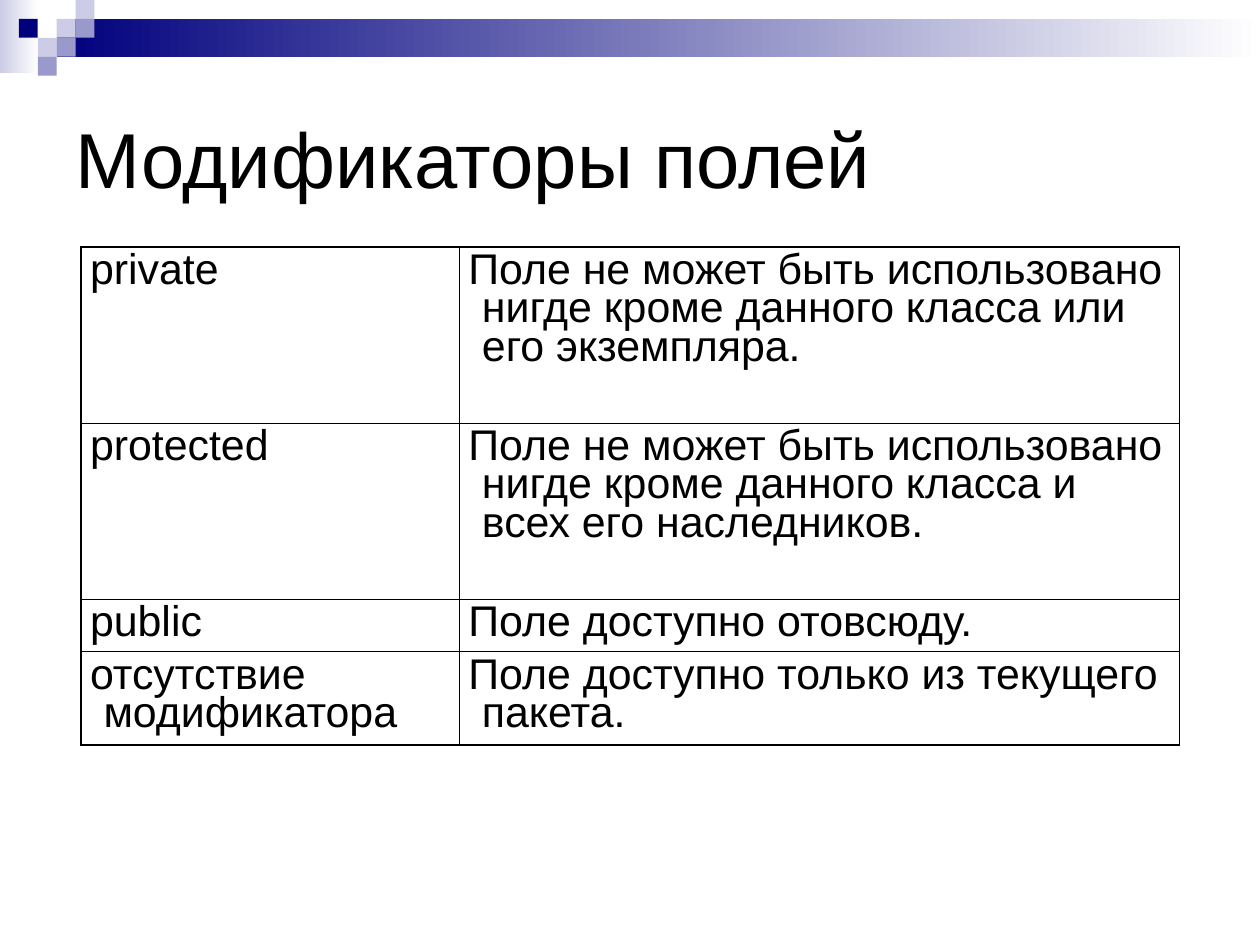
from dataclasses import dataclass

from lxml import etree
from pptx import Presentation
from pptx.dml.color import RGBColor
from pptx.enum.shapes import MSO_SHAPE
from pptx.enum.text import MSO_ANCHOR, MSO_AUTO_SIZE, PP_ALIGN
from pptx.oxml.ns import qn
from pptx.util import Cm, Pt

RECT = MSO_SHAPE.RECTANGLE
MIDDLE = MSO_ANCHOR.MIDDLE
TOP = MSO_ANCHOR.TOP
LEFT = PP_ALIGN.LEFT
NO_FIT = MSO_AUTO_SIZE.NONE

FONT = "Arial"
BLACK, WHITE = "000000", "FFFFFF"
NAVY, LILAC, VIOLET = "00007D", "CCCCE6", "9999CC"
UNIT = 0.42  # side of a corner square, cm
OUTER, INNER = 1.08, 0.45  # table rules, pt
HANG = 0.3  # hanging indent, cm


@dataclass
class Band:
    left: float
    top: float
    width: float
    height: float
    start: str


@dataclass
class Square:
    col: int
    row: int
    color: str


@dataclass
class Modifier:
    name: str
    meaning: str
    height: float


BANDS = [
    Band(0, 0, 0.86, 1.63, LILAC),
    Band(1.27, UNIT, 26.73, 2 * UNIT, NAVY),
]
SQUARES = [
    Square(3, 1, LILAC),
    Square(4, 0, LILAC),
    Square(4, 1, VIOLET),
    Square(2, 2, LILAC),
    Square(1, 1, NAVY),
    Square(3, 2, VIOLET),
    Square(2, 3, VIOLET),
]
COLUMNS = [8.41, 16]
MODIFIERS = [
    Modifier("private", "Поле не может быть использовано нигде кроме "
             "данного класса или его экземпляра.", 3.91),
    Modifier("protected", "Поле не может быть использовано нигде кроме "
             "данного класса и всех его наследников.", 3.91),
    Modifier("public", "Поле доступно отовсюду.", 1.17),
    Modifier("отсутствие модификатора",
             "Поле доступно только из текущего пакета.", 2.08),
]
TITLE_BOX = {"left": Cm(1.4), "top": Cm(1.4),
             "width": Cm(25.2), "height": Cm(4.19)}
TITLE_FRAME = {"margin_left": Cm(0.28), "margin_right": Cm(0.28),
               "margin_top": Cm(0.15), "margin_bottom": Cm(0.15),
               "vertical_anchor": MIDDLE, "word_wrap": True,
               "auto_size": NO_FIT}
CELL_FORMAT = {"margin_left": Cm(0.2), "margin_right": Cm(0.2),
               "margin_top": Cm(0.15), "margin_bottom": Cm(0.15),
               "vertical_anchor": TOP}
CELL_PARAGRAPH = {"alignment": LEFT, "line_spacing": 0.8,
                  "space_before": Pt(6.8)}


def rgb(color: str) -> RGBColor:
    return RGBColor.from_string(color)


def apply(target, values: dict) -> None:
    for name, value in values.items():
        setattr(target, name, value)


def write(p, text: str, size: float) -> None:
    r = p.add_run()
    r.text = text
    apply(r.font, {"name": FONT, "size": Pt(size), "bold": False})
    r.font.color.rgb = rgb(BLACK)


def add_rect(s, left: float, top: float, width: float, height: float):
    sp = s.shapes.add_shape(RECT, Cm(left), Cm(top), Cm(width), Cm(height))
    sp.shadow.inherit = False
    sp.line.fill.background()
    return sp


def add_band(s, band: Band) -> None:
    fill = add_rect(s, band.left, band.top, band.width, band.height).fill
    fill.gradient()
    fill.gradient_angle = 0
    for stop, color in zip(fill.gradient_stops, (band.start, WHITE)):
        stop.color.rgb = rgb(color)


def add_square(s, square: Square) -> None:
    sp = add_rect(s, square.col * UNIT, square.row * UNIT, UNIT, UNIT)
    sp.fill.solid()
    sp.fill.fore_color.rgb = rgb(square.color)


def add_border(cell, side: str, width: float) -> None:
    tc_pr = cell._tc.get_or_add_tcPr()
    ln = etree.SubElement(tc_pr, qn(f"a:ln{side}"), w=str(Pt(width)))
    fill = etree.SubElement(ln, qn("a:solidFill"))
    etree.SubElement(fill, qn("a:srgbClr"), val=BLACK)


def fill_cell(cell, text: str, outer: dict[str, bool]) -> None:
    apply(cell, CELL_FORMAT)
    for side, is_outer in outer.items():
        add_border(cell, side, OUTER if is_outer else INNER)
    cell.fill.background()
    p = cell.text_frame.paragraphs[0]
    apply(p, CELL_PARAGRAPH)
    p_pr = p._p.get_or_add_pPr()
    p_pr.set("marL", str(Cm(HANG)))
    p_pr.set("indent", str(-Cm(HANG)))
    write(p, text, 27)


def add_modifier_table(s) -> None:
    rows, cols = len(MODIFIERS), len(COLUMNS)
    height = sum(m.height for m in MODIFIERS)
    table = s.shapes.add_table(rows, cols, Cm(1.8), Cm(5.49),
                               Cm(sum(COLUMNS)), Cm(height)).table
    apply(table, {"first_row": False, "horz_banding": False})
    for column, width in zip(table.columns, COLUMNS):
        column.width = Cm(width)
    for i, modifier in enumerate(MODIFIERS):
        table.rows[i].height = Cm(modifier.height)
        for j, text in enumerate((modifier.name, modifier.meaning)):
            outer = {"L": j == 0, "R": j == cols - 1,
                     "T": i == 0, "B": i == rows - 1}
            fill_cell(table.cell(i, j), text, outer)


def add_title(s) -> None:
    title = s.shapes.title
    apply(title, TITLE_BOX)
    tf = title.text_frame
    apply(tf, TITLE_FRAME)
    p = tf.paragraphs[0]
    p.alignment = LEFT
    write(p, "Модификаторы полей", 49)


def main() -> None:
    prs = Presentation()
    apply(prs, {"slide_width": Cm(28), "slide_height": Cm(21)})
    s = prs.slides.add_slide(prs.slide_layouts[5])
    for band in BANDS:
        add_band(s, band)
    for square in SQUARES:
        add_square(s, square)
    add_title(s)
    add_modifier_table(s)
    prs.save("out.pptx")


if __name__ == "__main__":
    main()
